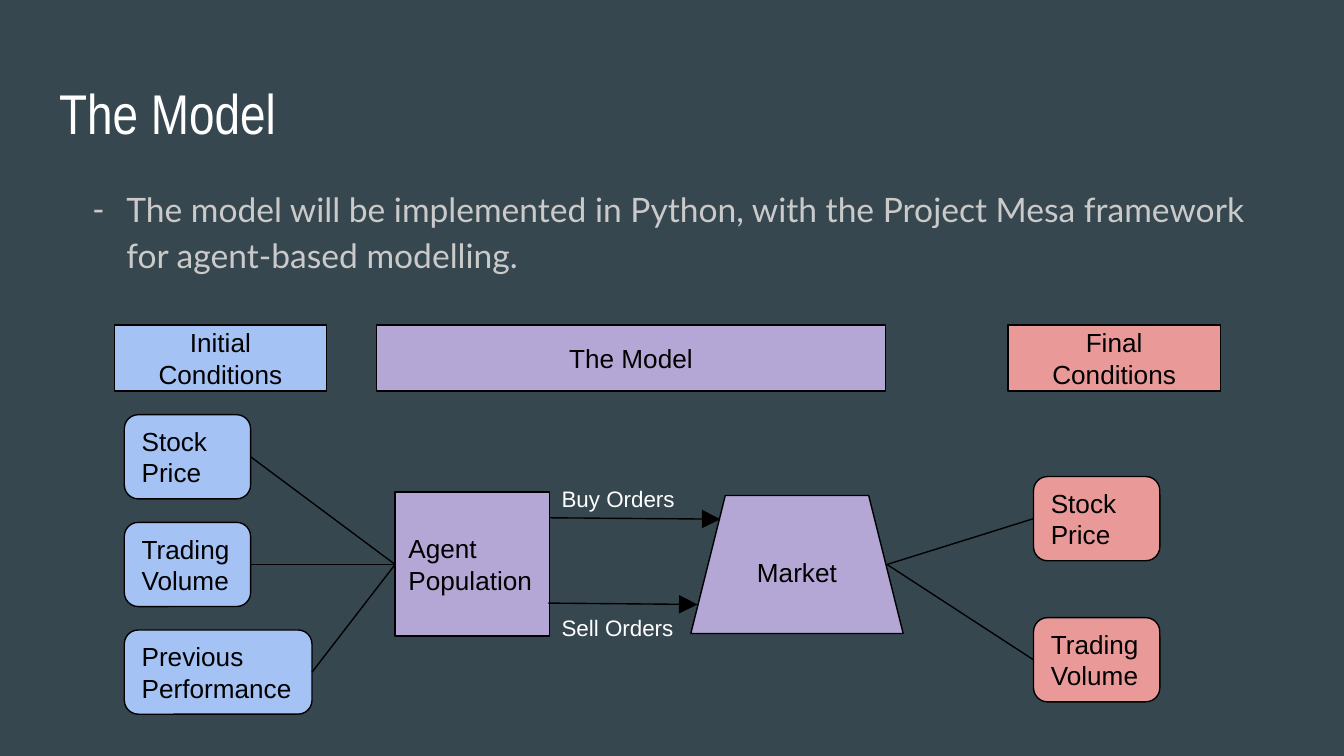
from dataclasses import dataclass
from pptx import Presentation
from pptx.dml.color import RGBColor
from pptx.enum.shapes import MSO_CONNECTOR, MSO_SHAPE
from pptx.enum.text import MSO_ANCHOR, MSO_AUTO_SIZE, PP_ALIGN
from pptx.oxml.ns import qn
from pptx.util import Inches, Pt
from lxml import etree

RECT = MSO_SHAPE.RECTANGLE
ROUND = MSO_SHAPE.ROUNDED_RECTANGLE
TRAP = MSO_SHAPE.TRAPEZOID
STRAIGHT = MSO_CONNECTOR.STRAIGHT
TOP, MIDDLE = MSO_ANCHOR.TOP, MSO_ANCHOR.MIDDLE
LEFT, CENTER = PP_ALIGN.LEFT, PP_ALIGN.CENTER
FIXED = MSO_AUTO_SIZE.NONE

WIDE = Inches(10)
HIGH = WIDE * 9 // 16


@dataclass(frozen=True)
class Theme:
    back: str = "37474F"
    white: str = "FFFFFF"
    grey: str = "CACACA"
    black: str = "000000"
    blue: str = "A4C2F4"
    purple: str = "B4A7D6"
    red: str = "EA9999"
    head: str = "Arial Narrow"
    body: str = "Lato"
    plain: str = "Arial"
    head_size: int = 30
    body_size: int = 18
    box_size: int = 14
    note_size: int = 12
    stroke: float = 0.75


THEME = Theme()


def rgb(tone):
    return RGBColor.from_string(tone)


def across(share):
    return int(WIDE * share / 100)


def down(share):
    return int(HIGH * share / 100)


def area(left, top, width, height):
    return across(left), down(top), across(width), down(height)


def write(shape, text, font=THEME.plain, size=THEME.box_size,
          tone=THEME.black, align=LEFT, anchor=MIDDLE):
    frame = shape.text_frame
    frame.word_wrap = True
    frame.auto_size = FIXED
    frame.vertical_anchor = anchor
    frame.margin_left = frame.margin_right = Inches(0.1)
    frame.margin_top = frame.margin_bottom = Inches(0.1)
    para = frame.paragraphs[0]
    para.alignment = align
    run = para.add_run()
    run.text = text
    run.font.name = font
    run.font.size = Pt(size)
    run.font.color.rgb = rgb(tone)
    return para


def hold(shape, spot, text, **style):
    shape.left, shape.top, shape.width, shape.height = area(*spot)
    return write(shape, text, anchor=TOP, **style)


def dash(para, tone):
    para.line_spacing = 1.15
    para.space_before = Pt(0)
    para.space_after = Pt(16)
    props = para._p.get_or_add_pPr()
    props.set("marL", str(Inches(0.5)))
    props.set("indent", str(Inches(-0.25)))
    color = etree.SubElement(props, qn("a:buClr"))
    etree.SubElement(color, qn("a:srgbClr"), val=tone)
    etree.SubElement(props, qn("a:buChar"), char="-")


def box(slide, kind, spot, text, fill, align=LEFT):
    shape = slide.shapes.add_shape(kind, *area(*spot))
    shape.shadow.inherit = False
    shape.fill.solid()
    shape.fill.fore_color.rgb = rgb(fill)
    shape.line.color.rgb = rgb(THEME.black)
    shape.line.width = Pt(THEME.stroke)
    write(shape, text, align=align)


def label(slide, spot, text):
    shape = slide.shapes.add_textbox(*area(*spot))
    write(shape, text, size=THEME.note_size, tone=THEME.white, anchor=TOP)


def link(slide, start, end, arrow=False):
    line = slide.shapes.add_connector(
        STRAIGHT, across(start[0]), down(start[1]), across(end[0]), down(end[1]))
    line.line.color.rgb = rgb(THEME.black)
    line.line.width = Pt(THEME.stroke)
    props = line._element.spPr
    etree.SubElement(props, qn("a:effectLst"))
    if arrow:
        etree.SubElement(props.find(qn("a:ln")), qn("a:tailEnd"),
                         type="triangle", w="lg", len="lg")


def stack(slide, left, top, pitch, items, fill):
    height = 11.14
    spots = []
    for row, (text, width) in enumerate(items):
        y = top + row * pitch
        box(slide, ROUND, (left, y, width, height), text, fill)
        spots.append((left, left + width, y + height / 2))
    return spots


def main():
    deck = Presentation()
    deck.slide_width, deck.slide_height = WIDE, HIGH
    slide = deck.slides.add_slide(deck.slide_layouts[1])
    slide.background.fill.solid()
    slide.background.fill.fore_color.rgb = rgb(THEME.back)

    title, body = slide.placeholders
    hold(title, (3.4, 8.65, 93.2, 11.2), "The Model",
         font=THEME.head, size=THEME.head_size, tone=THEME.white)
    para = hold(body, (3.4, 22.4, 93.2, 66.49),
                "The model will be implemented in Python, with the Project Mesa "
                "framework for agent-based modelling.",
                font=THEME.body, size=THEME.body_size, tone=THEME.grey)
    dash(para, THEME.grey)

    for text, left, width, fill in (
            ("Initial Conditions", 8.5, 15.8, THEME.blue),
            ("The Model", 28, 37.9, THEME.purple),
            ("Final Conditions", 75, 15.8, THEME.red)):
        box(slide, RECT, (left, 43.02, width, 8.71), text, fill, CENTER)

    box(slide, RECT, (29.4, 65.1, 11.5, 19.02), "Agent Population", THEME.purple)
    box(slide, TRAP, (51.4, 65.55, 15.8, 18.25), "Market", THEME.purple, CENTER)

    middle = 74.67
    causes = (("Stock Price", 9.4), ("Trading Volume", 9.4),
              ("Previous Performance", 13.97))
    for _, right, y in stack(slide, 9.25, 54.86, 14.24, causes, THEME.blue):
        link(slide, (right, y), (29.4, middle))

    results = (("Stock Price", 9.4), ("Trading Volume", 9.4))
    for left, _, y in stack(slide, 76.9, 63.04, 18.67, results, THEME.red):
        link(slide, (66, middle), (left, y))

    for text, top, start, y, end in (
            ("Buy Orders", 62.4, 40.9, 68.5, 53.6),
            ("Sell Orders", 79.47, 40.8, 79.78, 51.9)):
        link(slide, (start, y), (end, y + 0.18), arrow=True)
        label(slide, (40.8, top, 12.3, 4.62), text)

    deck.save("out.pptx")


if __name__ == "__main__":
    main()
